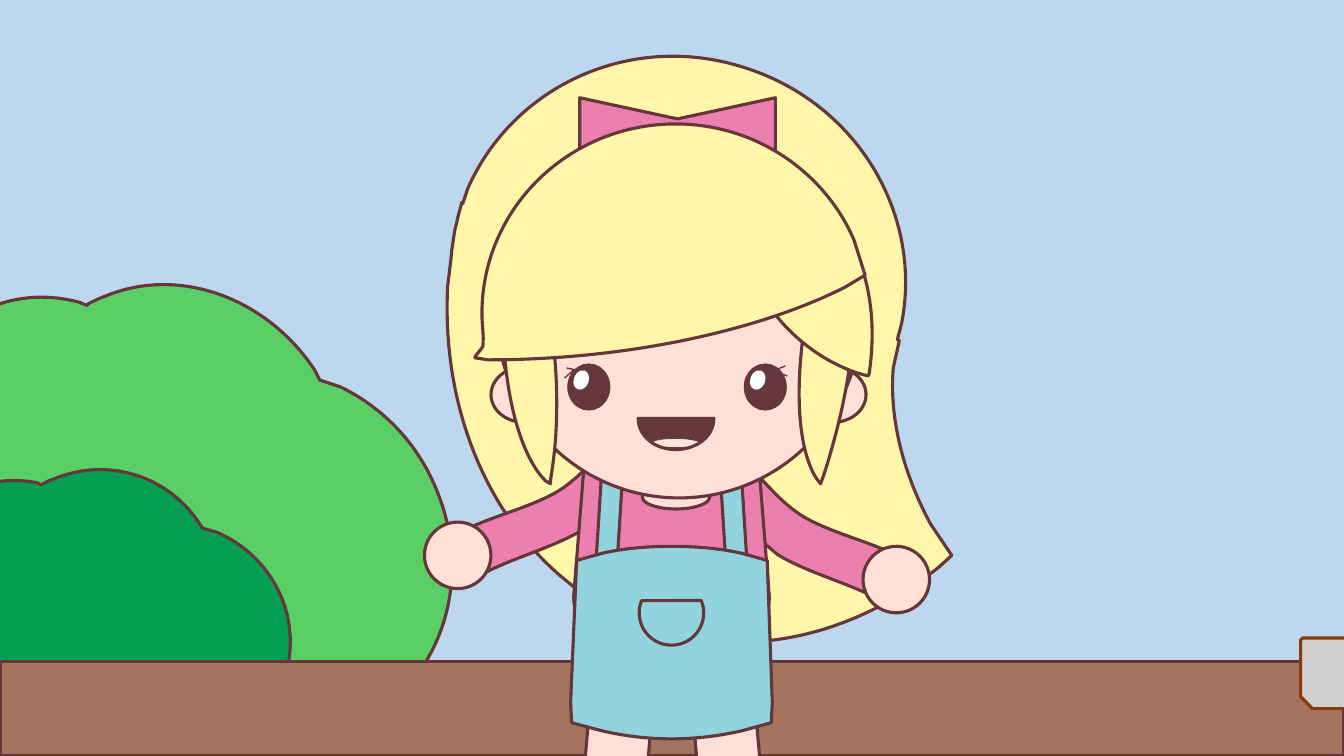
import dataclasses
import typing

import lxml.etree
import pptx
import pptx.dml.color
import pptx.enum.shapes
import pptx.oxml.ns
import pptx.util

PX = 9144
SHAPE = pptx.enum.shapes.MSO_SHAPE
qn = pptx.oxml.ns.qn


@dataclasses.dataclass(frozen=True)
class Theme:
    sky: str = "BDD7EE"
    ink: str = "65363A"
    bush: str = "5ACF65"
    dark_bush: str = "059F54"
    ground: str = "A4745E"
    hair: str = "FFF6A9"
    skin: str = "FFE0D6"
    pink: str = "ED7FB0"
    denim: str = "91D3DF"
    tongue: str = "FBE5D6"
    white: str = "FFFFFF"
    stone: str = "D0CECE"
    rust: str = "843C0B"
    bold: float = 2.25
    lash: float = 1
    fine: float = 0.5


T = Theme()


@dataclasses.dataclass(frozen=True)
class Outline:
    d: str
    fill: str | None
    mirror: int = 0
    drop: int = 0
    line: str | None = T.ink
    width: float = T.bold


@dataclasses.dataclass(frozen=True)
class Preset:
    kind: typing.Any
    box: tuple[int, int, int, int]
    fill: str | None
    rotation: float = 0
    adjust: tuple[float, ...] = ()
    line: str | None = T.ink
    width: float = T.bold


@dataclasses.dataclass(frozen=True)
class Stroke:
    ends: tuple[int, int, int, int]
    line: str = T.ink
    width: float = T.lash


Part = Outline | Preset | Stroke


def oval(x: int, y: int, w: int, h: int, fill: str, **fmt: typing.Any) -> Preset:
    return Preset(SHAPE.OVAL, (x, y, w, h), fill, **fmt)


def eye(x: int, lashes: list[tuple[int, int, int, int]]) -> list[Part]:
    return [
        oval(x, 361, 42, 46, T.ink, width=T.fine),
        oval(x + 6, 367, 15, 20, T.white, rotation=19.6, line=None),
        *(Stroke(ends) for ends in lashes),
    ]


LEG = "M 592 620 L 654 625 641 775 C 639 797 623 813 606 812 589 810 577 791 579 769 Z"
SLEEVE = (
    "M 652 462 C 664 455 667 440 660 429 653 418 638 414 627 421 598 441 584 468 554 487 "
    "524 505 479 514 449 532 438 539 434 553 441 564 448 576 463 579 474 572 "
    "505 554 548 544 579 525 L 652 462 Z"
)
MOUTH = "M 633 415 L 708 415 C 708 433 691 446 670 446 650 446 633 433 633 415 Z"

SCENERY: list[Part] = [
    Outline(
        "M 433 486 C 472 580 434 685 348 720 332 727 316 731 299 732 L 289 732 286 734 "
        "C 274 742 262 749 249 754 142 798 18 744 -28 632 -37 611 -42 589 -44 568 L -44 565 -49 561 "
        "C -63 546 -75 528 -83 508 -116 426 -84 336 -10 305 19 293 50 292 79 300 L 86 303 88 301 "
        "C 93 299 98 296 104 294 178 263 265 296 312 367 L 317 377 338 384 "
        "C 379 404 414 439 433 486 Z", T.bush),
    Outline(
        "M 279 592 C 304 652 275 722 215 746 203 751 192 754 180 755 L 173 755 171 757 "
        "C 163 762 154 767 145 771 69 802 -16 769 -45 697 -51 684 -54 670 -55 656 L -55 654 -58 651 "
        "C -68 642 -75 631 -81 618 -102 566 -77 506 -25 484 -5 476 17 475 37 479 L 41 481 43 480 "
        "C 46 478 50 476 54 475 107 453 166 472 197 518 L 201 524 215 528 "
        "C 243 540 266 562 279 592 Z", T.dark_bush),
    Preset(SHAPE.RECTANGLE, (0, 656, 1333, 94), T.ground),
    Outline(
        "M 738 67 C 850 102 916 213 894 322 L 890 337 892 338 886 365 C 882 414 895 468 923 520 "
        "L 944 551 932 562 C 851 628 748 655 652 625 516 582 436 441 444 284 "
        "L 448 251 448 249 451 229 453 221 454 216 458 201 459 202 464 187 "
        "C 509 85 626 31 738 67 Z", T.hair),
]

LIMBS: list[list[Part]] = [
    [Outline(LEG, T.skin, mirror=1334)],
    [Outline(LEG, T.skin)],
    [Outline(SLEEVE, T.pink), oval(421, 518, 66, 66, T.skin)],
    [Outline(SLEEVE, T.pink, mirror=1350, drop=25), oval(856, 542, 66, 66, T.skin)],
]

SHIRT: list[Part] = [
    Outline("M 602 175 L 730 175 763 592 C 763 632 719 664 666 664 613 664 569 632 569 592 Z", T.pink),
    oval(637, 481, 67, 24, T.skin),
]

DRESS: list[Part] = [
    *(Preset(SHAPE.RECTANGLE, (x, 464, 21, 97), T.denim, tilt) for x, tilt in ((717, -3.6), (594, 3.6))),
    Outline(
        "M 666 542 C 691 542 714 544 736 549 L 761 556 766 697 765 717 736 725 "
        "C 714 730 691 733 666 733 642 733 618 730 597 725 L 567 717 566 697 572 556 597 549 "
        "C 618 544 642 542 666 542 Z", T.denim),
    Preset(SHAPE.CHORD, (634, 576, 64, 64), T.denim, 292.3),
]

HEAD: list[Part] = [
    *(oval(x, 364, 66, 55, T.skin) for x in (793, 487)),
    oval(493, 132, 361, 362, T.skin),
    Outline(MOUTH, T.ink, width=T.fine),
    oval(646, 435, 48, 9, T.tongue, width=T.fine),
    Outline(MOUTH, None),
    *eye(738, [(764, 369, 779, 363), (764, 367, 781, 373)]),
    *eye(563, [(560, 375, 569, 367), (562, 365, 571, 367)]),
    Outline("M 575 97 L 672 118 769 97 769 174 672 153 575 174 Z", T.pink),
    Outline(
        "M 826 211 L 830 215 C 853 250 854 338 828 434 824 449 820 463 815 477 L 814 480 810 475 "
        "C 787 440 786 353 812 257 816 242 820 227 825 214 Z", T.hair),
    Outline(
        "M 729 139 L 739 142 C 812 167 865 242 865 331 865 344 864 358 862 371 L 861 373 850 370 "
        "C 777 345 724 270 724 181 724 168 726 154 728 142 Z", T.hair),
    Outline(
        "M 505 233 L 510 237 C 540 265 557 344 551 436 550 450 548 464 546 477 L 546 480 541 477 "
        "C 512 448 494 369 500 277 501 263 503 249 505 236 Z", T.hair),
    Outline(
        "M 670 123 C 750 123 818 171 847 238 L 858 273 838 285 C 755 327 625 357 484 357 L 471 355 "
        "C 470 354 480 344 479 343 480 331 478 324 478 311 478 207 564 123 670 123 Z", T.hair),
]

STONE = Preset(SHAPE.SNIP_2_SAME_RECTANGLE, (1290, 633, 111, 70), T.stone, 180, (0.167, 0.028), T.rust)


def rgb(color: str) -> pptx.dml.color.RGBColor:
    return pptx.dml.color.RGBColor.from_string(color)


def paint(fill: typing.Any, color: str | None) -> None:
    if color is None:
        fill.background()
    else:
        fill.solid()
        fill.fore_color.rgb = rgb(color)


def draw_outline(shapes: typing.Any, part: Outline) -> typing.Any:
    points: list[tuple[int, int]] = []
    curves: list[int] = []
    for command in part.d.replace("Z", "").replace("L", "|L").replace("C", "|C").split("|"):
        op, *numbers = command.split()
        xs, ys = map(int, numbers[::2]), map(int, numbers[1::2])
        added = [(part.mirror - x if part.mirror else x, y + part.drop) for x, y in zip(xs, ys)]
        if op == "C":
            curves += range(len(points) - 1, len(points) - 1 + len(added), 3)
        points += added
    builder = shapes.build_freeform(*points[0], scale=PX)
    builder.add_line_segments(points[1:], close=True)
    sp = builder.convert_to_shape()
    steps = list(sp._element.iter(qn("a:lnTo")))
    for i in curves:
        curve = lxml.etree.Element(qn("a:cubicBezTo"))
        steps[i].addprevious(curve)
        for step in steps[i:i + 3]:
            curve.append(step[0])
            step.getparent().remove(step)
    return sp


def draw_preset(shapes: typing.Any, part: Preset) -> typing.Any:
    sp = shapes.add_shape(part.kind, *(v * PX for v in part.box))
    for i, value in enumerate(part.adjust):
        sp.adjustments[i] = value
    sp.rotation = part.rotation
    return sp


def draw(shapes: typing.Any, part: Part) -> None:
    if isinstance(part, Stroke):
        straight = pptx.enum.shapes.MSO_CONNECTOR.STRAIGHT
        sp = shapes.add_connector(straight, *(v * PX for v in part.ends))
        lxml.etree.SubElement(sp._element.spPr, qn("a:effectLst"))
    else:
        sp = draw_outline(shapes, part) if isinstance(part, Outline) else draw_preset(shapes, part)
        sp.shadow.inherit = False
        paint(sp.fill, part.fill)
    paint(sp.line.fill, part.line)
    if part.line:
        sp.line.width = pptx.util.Pt(part.width)


def main() -> None:
    prs = pptx.Presentation()
    for name, value in {"slide_width": 1333 * PX, "slide_height": 750 * PX}.items():
        setattr(prs, name, value)
    s = prs.slides.add_slide(prs.slide_layouts[6])
    paint(s.background.fill, T.sky)
    for part in SCENERY:
        draw(s.shapes, part)
    for parts in [*LIMBS, SHIRT, DRESS, HEAD]:
        group = s.shapes.add_group_shape()
        for part in parts:
            draw(group.shapes, part)
    draw(s.shapes, STONE)
    prs.save("out.pptx")


if __name__ == "__main__":
    main()
